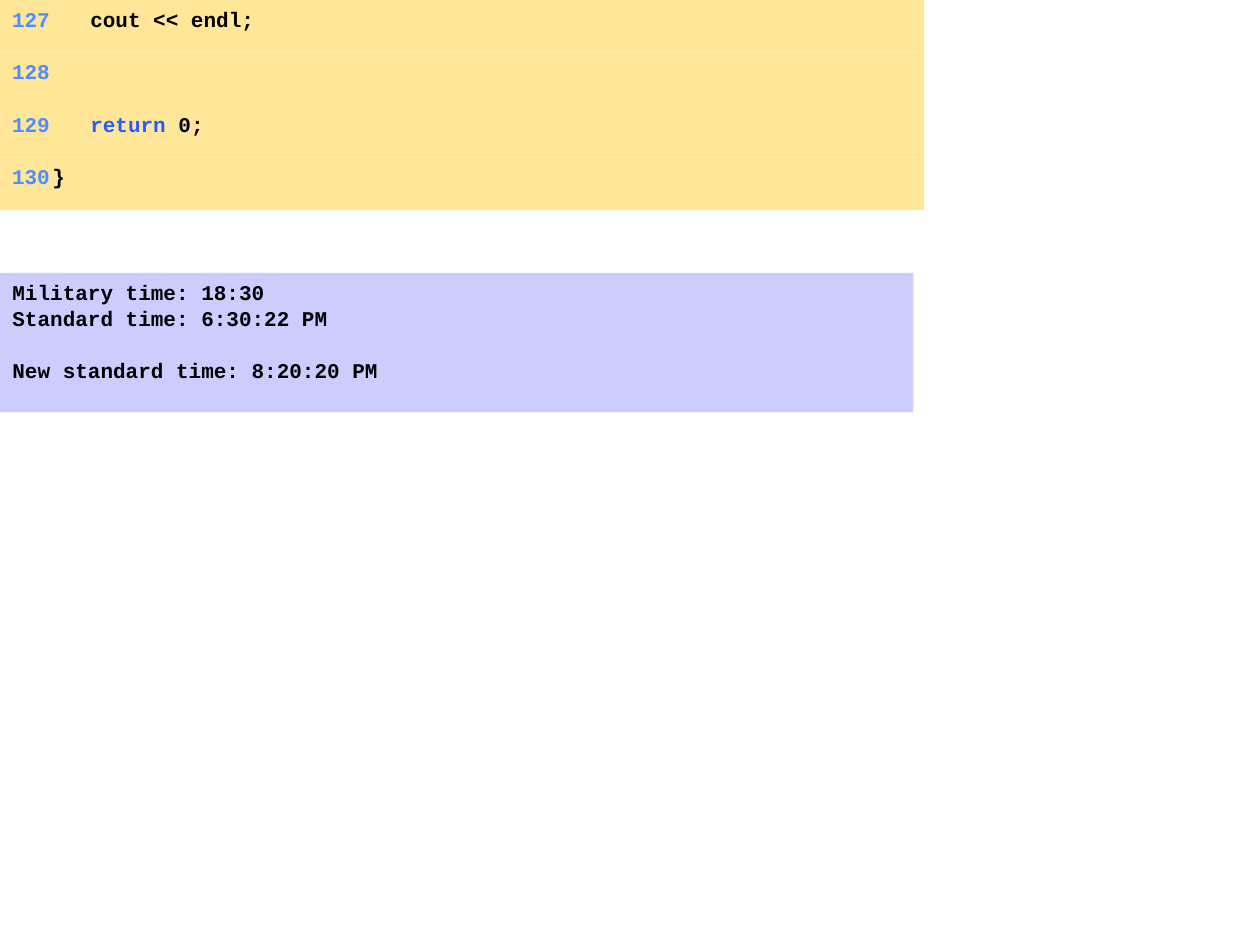
from lxml.etree import SubElement
from pptx import Presentation
from pptx.dml.color import RGBColor
from pptx.enum.shapes import MSO_SHAPE
from pptx.enum.text import MSO_ANCHOR, PP_ALIGN
from pptx.oxml.ns import qn
from pptx.util import Pt

PX = 9525
CODE_FILL = RGBColor(0xFF, 0xE6, 0x99)
OUTPUT_FILL = RGBColor(0xCC, 0xCC, 0xFF)
NUMBER = RGBColor(0x4D, 0x8D, 0xFF)
KEYWORD = RGBColor(0x27, 0x5A, 0xFF)
BLACK = RGBColor(0, 0, 0)

ROW_HEIGHT = 40
TAB_STOPS = [(38, "r"), (40, "l")]

prs = Presentation()
prs.slide_width = 960 * PX
prs.slide_height = 720 * PX
slide = prs.slides.add_slide(prs.slide_layouts[6])


def add_panel(top, width, height, fill):
    panel = slide.shapes.add_shape(
        MSO_SHAPE.RECTANGLE, 0, top * PX, width * PX, height * PX)
    panel.shadow.inherit = False
    panel.fill.solid()
    panel.fill.fore_color.rgb = fill
    panel.line.fill.background()
    panel.text_frame.word_wrap = True
    panel.text_frame.vertical_anchor = MSO_ANCHOR.TOP
    return panel.text_frame


def style_line(paragraph):
    paragraph.alignment = PP_ALIGN.LEFT
    paragraph.font.name = "Courier New"
    paragraph.font.size = Pt(12)
    paragraph.font.bold = True


code_lines = [
    [("\t127\t", NUMBER), ("   cout << endl;", BLACK)],
    [("\t128\t", NUMBER)],
    [("\t129\t   ", NUMBER), ("return", KEYWORD), (" 0;", BLACK)],
    [("\t130\t", NUMBER), ("}", BLACK)],
]
for row, pieces in enumerate(code_lines):
    code = add_panel(row * ROW_HEIGHT, 704, ROW_HEIGHT, CODE_FILL)
    code.margin_left = 0
    line = code.paragraphs[0]
    tabs = SubElement(line._p.get_or_add_pPr(), qn("a:tabLst"))
    for position, side in TAB_STOPS:
        SubElement(tabs, qn("a:tab"), pos=str(position * PX), algn=side)
    style_line(line)
    for words, color in pieces:
        run = line.add_run()
        run.text = words
        run.font.color.rgb = color

output_lines = [
    ("Military time: 18:30", 0),
    ("Standard time: 6:30:22 PM", 0.7),
    ("New standard time: 8:20:20 PM", 15),
]
output = add_panel(208, 696, 106, OUTPUT_FILL)
for index, (words, gap) in enumerate(output_lines):
    line = output.add_paragraph() if index else output.paragraphs[0]
    line.text = words
    style_line(line)
    line.font.color.rgb = BLACK
    if gap:
        line.space_before = Pt(gap)

prs.save("out.pptx")
